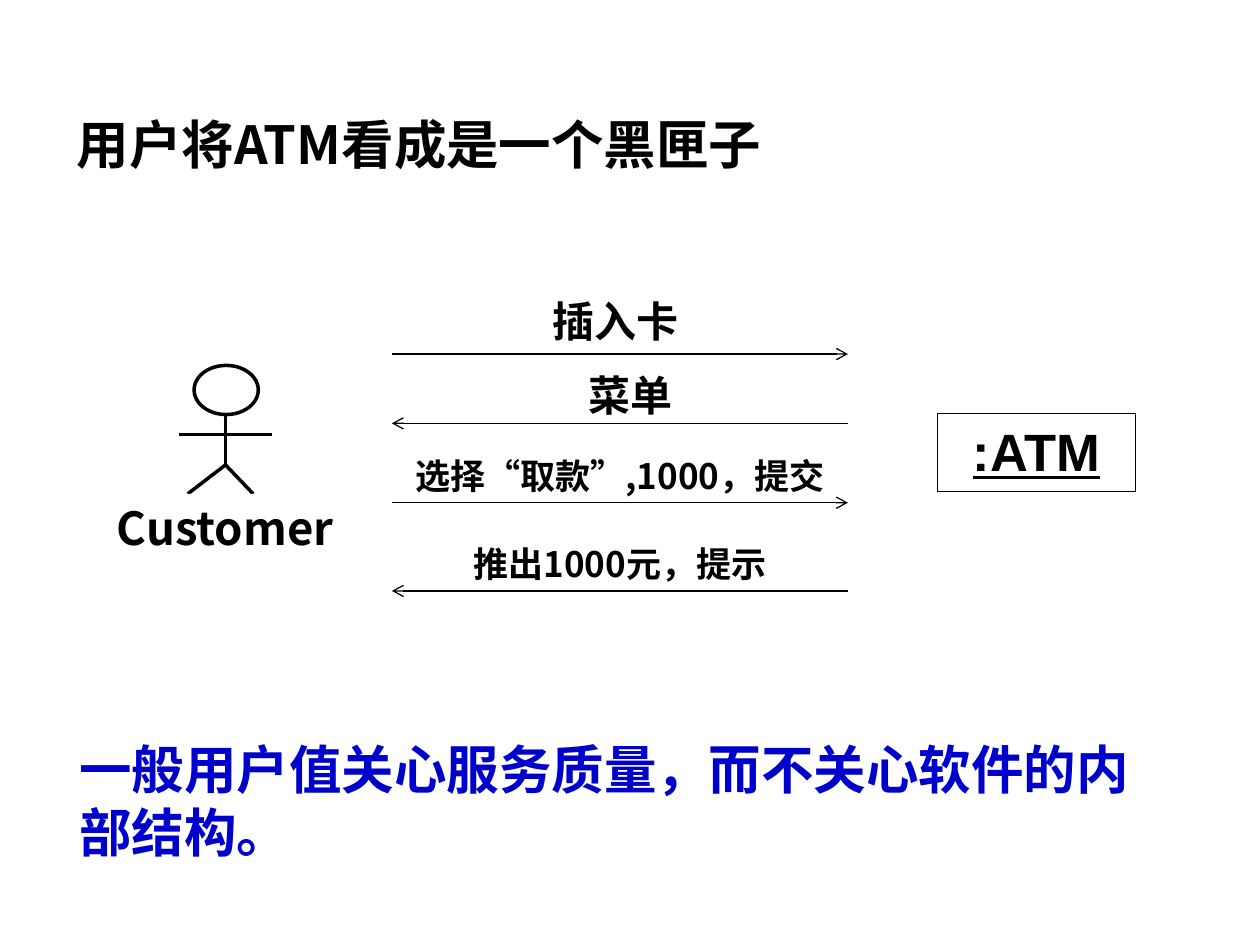
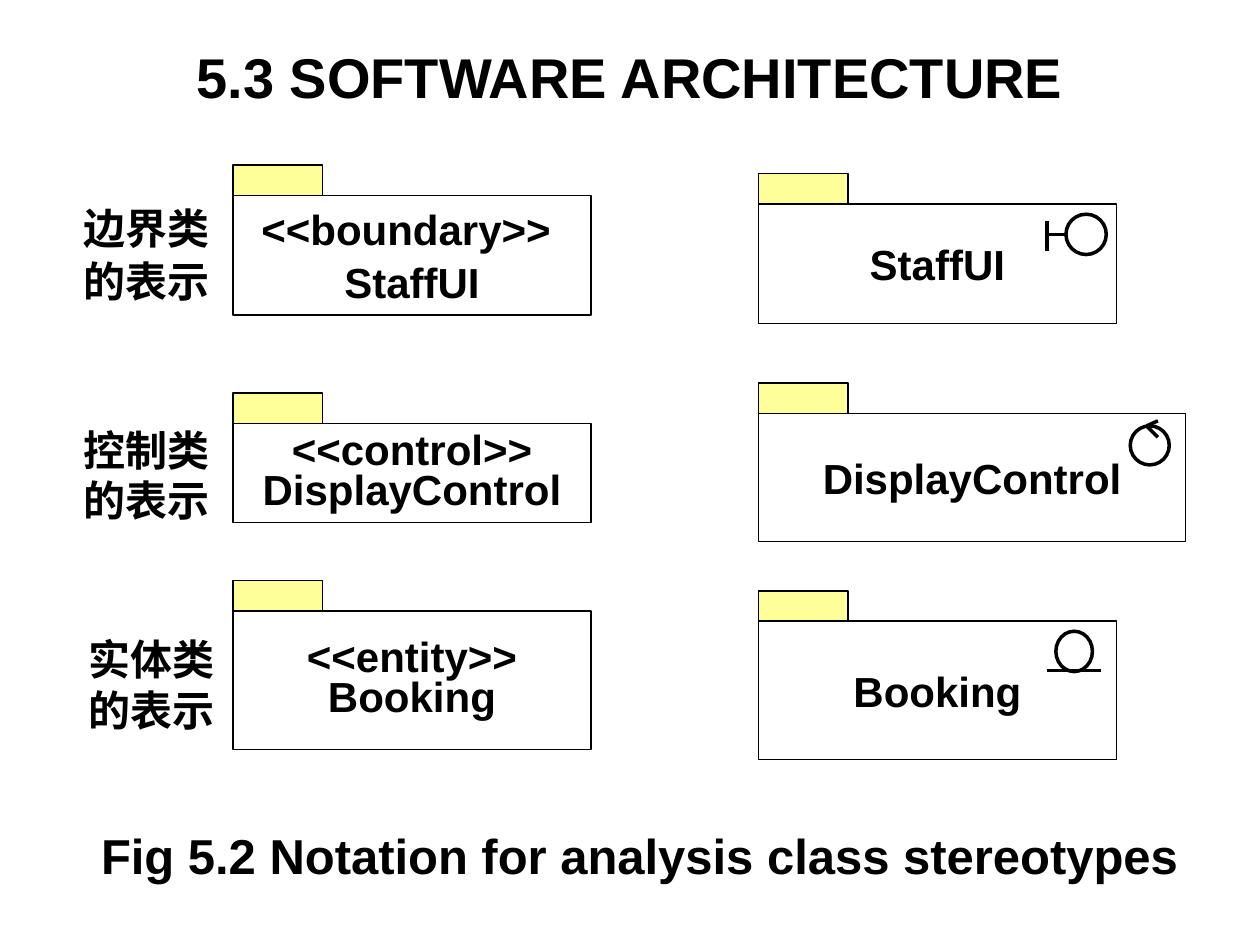
import pptx
import pptx.util
import pptx.dml.color
import pptx.enum.shapes
import pptx.enum.text
import pptx.oxml.ns
from lxml import etree

PX = 9144  # 100 px to the inch
BLACK, WHITE, BLUE, YELLOW = "000000", "FFFFFF", "0000CC", "FFFF99"
LATIN, HAN = "Arial", "Noto Sans CJK SC"
THIN, THICK = 0.75, 2
TAB_WIDTH, TAB_HEIGHT = 71, 24

colour = pptx.dml.color.RGBColor.from_string
qn = pptx.oxml.ns.qn
SHAPE = pptx.enum.shapes.MSO_SHAPE
ALIGN = pptx.enum.text.PP_ALIGN
ANCHOR = pptx.enum.text.MSO_ANCHOR
FIT = pptx.enum.text.MSO_AUTO_SIZE


def write(box, text, size=24, font=LATIN, color=BLACK, align=ALIGN.CENTER, anchor=ANCHOR.TOP,
          wrap=True, grow=False, side=10, spacing=1.0, gap=0, underline=None):
    """Fill a box with bold text, one paragraph for each line."""
    frame = box.text_frame
    frame.word_wrap = wrap
    frame.auto_size = FIT.SHAPE_TO_FIT_TEXT if grow else FIT.NONE
    frame.vertical_anchor = anchor
    frame.margin_left = frame.margin_right = side * PX
    frame.margin_top = frame.margin_bottom = 5 * PX
    for number, line in enumerate(text.split("\n")):
        para = frame.add_paragraph() if number else frame.paragraphs[0]
        para.alignment = align
        para.line_spacing = spacing
        para.space_before = pptx.util.Pt(gap if number else 0)
        span = para.add_run()
        span.text = line
        span.font.size = pptx.util.Pt(size)
        span.font.bold = True
        span.font.underline = underline
        span.font.color.rgb = colour(color)
        span.font.name = font
        etree.SubElement(span._r.get_or_add_rPr(), qn("a:ea"), typeface=font)


def draw(shapes, kind, place, weight=THIN, fill=None, arrow=False):
    """Draw a preset shape (left, top, width, height) or a line (x1, y1, x2, y2)."""
    place = [length * PX for length in place]
    if kind == "line":
        item = shapes.add_connector(pptx.enum.shapes.MSO_CONNECTOR.STRAIGHT, *place)
    else:
        item = shapes.add_shape(kind, *place)
        item.shadow.inherit = False
        if fill:
            item.fill.solid()
            item.fill.fore_color.rgb = colour(fill)
        else:
            item.fill.background()
    if weight:
        item.line.color.rgb = colour(BLACK)
        item.line.width = pptx.util.Pt(weight)
    else:
        item.line.fill.background()
    if arrow:
        etree.SubElement(item.line._get_or_add_ln(), qn("a:tailEnd"), type="arrow")
    if kind == "line":
        etree.SubElement(item._element.spPr, qn("a:effectLst"))
    return item


deck = pptx.Presentation()
deck.slide_width, deck.slide_height = 1000 * PX, 750 * PX
title_only = deck.slide_layouts[5]

# Both pages with their titles
pages = []
for text, place, look in [
    ("用户将ATM看成是一个黑匣子", (51, 84, 709, 60),
     dict(size=30, font=HAN, align=ALIGN.LEFT, grow=True)),
    ("5.3 SOFTWARE ARCHITECTURE", (50, 30, 900, 61), dict(size=32, anchor=ANCHOR.MIDDLE)),
]:
    page = deck.slides.add_slide(title_only)
    title = page.shapes.title
    title.left, title.top, title.width, title.height = [length * PX for length in place]
    write(title, text, **look)
    pages.append(page.shapes)
atm_page, notation_page = pages

# Page 1: the customer as a stick figure
draw(atm_page, SHAPE.OVAL, (154, 290, 51, 39), THICK, WHITE)
for limb in [(142, 345, 216, 345), (179, 330, 179, 369),
             (179, 369, 149, 392), (179, 369, 201, 392)]:
    draw(atm_page, "line", limb, THICK)
customer = draw(atm_page, SHAPE.RECTANGLE, (83, 392, 197, 54), None, WHITE)
write(customer, "Customer", size=26, font=HAN, align=ALIGN.LEFT, grow=True)

# The machine
machine = draw(atm_page, SHAPE.RECTANGLE, (744, 328, 157, 62), THIN, WHITE)
write(machine, ":ATM", size=30, underline=True)

# Messages, going right and left in turn
user_x, machine_x = 311, 673
for number, (text, size, line_y, place) in enumerate([
    ("插入卡", 24, 281, (429, 230, 142, 50)),
    ("菜单", 24, 336, (429, 288, 142, 50)),
    ("选择“取款”,1000，提交", 20, 399, (311, 356, 362, 44)),
    ("推出1000元，提示", 20, 469, (311, 426, 362, 44)),
]):
    message = atm_page.add_group_shape().shapes
    start, end = (machine_x, user_x) if number % 2 else (user_x, machine_x)
    draw(message, "line", (start, line_y, end, line_y), arrow=True)
    label = message.add_textbox(*[length * PX for length in place])
    write(label, text, size=size, font=HAN, grow=True,
          align=ALIGN.CENTER if number else ALIGN.LEFT)

# Conclusion
conclusion = atm_page.add_textbox(53 * PX, 580 * PX, 888 * PX, 110 * PX)
write(conclusion, "一般用户值关心服务质量，而不关心软件的内部结构。", size=30, font=HAN,
      color=BLUE, align=ALIGN.LEFT, grow=True)

# Page 2: row labels
for text, left, top, height, gap in [
    ("边界类\n的表示", 63, 156, 92, 1.5),
    ("控制类\n的表示", 63, 332, 90, 0),
    ("实体类\n的表示", 67, 498, 90, 0),
]:
    label = notation_page.add_textbox(left * PX, top * PX, 106 * PX, height * PX)
    write(label, text, font=HAN, side=0, gap=gap, grow=True)

# Packages: text stereotypes on the left, icons on the right
boundary_icon = [(SHAPE.OVAL, (846, 170, 32, 32)),
                 ("line", (831, 186, 847, 186)), ("line", (831, 175, 831, 199))]
control_icon = [(SHAPE.OVAL, (897, 338, 31, 31)),
                ("line", (919, 334, 910, 338)), ("line", (910, 338, 919, 347))]
entity_icon = [(SHAPE.OVAL, (838, 501, 29, 32)), ("line", (831, 532, 874, 532))]
for text, left, top, width, height, spacing, gap, icon in [
    ("<<boundary>> \nStaffUI", 185, 155, 284, 95, 1.0, 1.5, []),
    ("<<control>>\nDisplayControl", 185, 336, 284, 79, 0.8, 0, []),
    ("<<entity>>\nBooking", 185, 485, 284, 110, 0.8, 0, []),
    ("StaffUI", 602, 162, 284, 95, 1.0, 0, boundary_icon),
    ("DisplayControl", 602, 328, 339, 102, 1.0, 0, control_icon),
    ("Booking", 602, 493, 284, 110, 1.0, 0, entity_icon),
]:
    package = notation_page.add_group_shape().shapes if icon else notation_page
    body = draw(package, SHAPE.RECTANGLE, (left, top, width, height))
    write(body, text, anchor=ANCHOR.MIDDLE, wrap=False, spacing=spacing, gap=gap)
    draw(package, SHAPE.RECTANGLE, (left, top - TAB_HEIGHT, TAB_WIDTH, TAB_HEIGHT), fill=YELLOW)
    for kind, place in icon:
        draw(package, kind, place, THICK)

# Figure caption
caption = notation_page.add_textbox(43 * PX, 659 * PX, 929 * PX, 47 * PX)
write(caption, "Fig 5.2 Notation for analysis class stereotypes", size=28, spacing=0.8)

deck.save("out.pptx")
